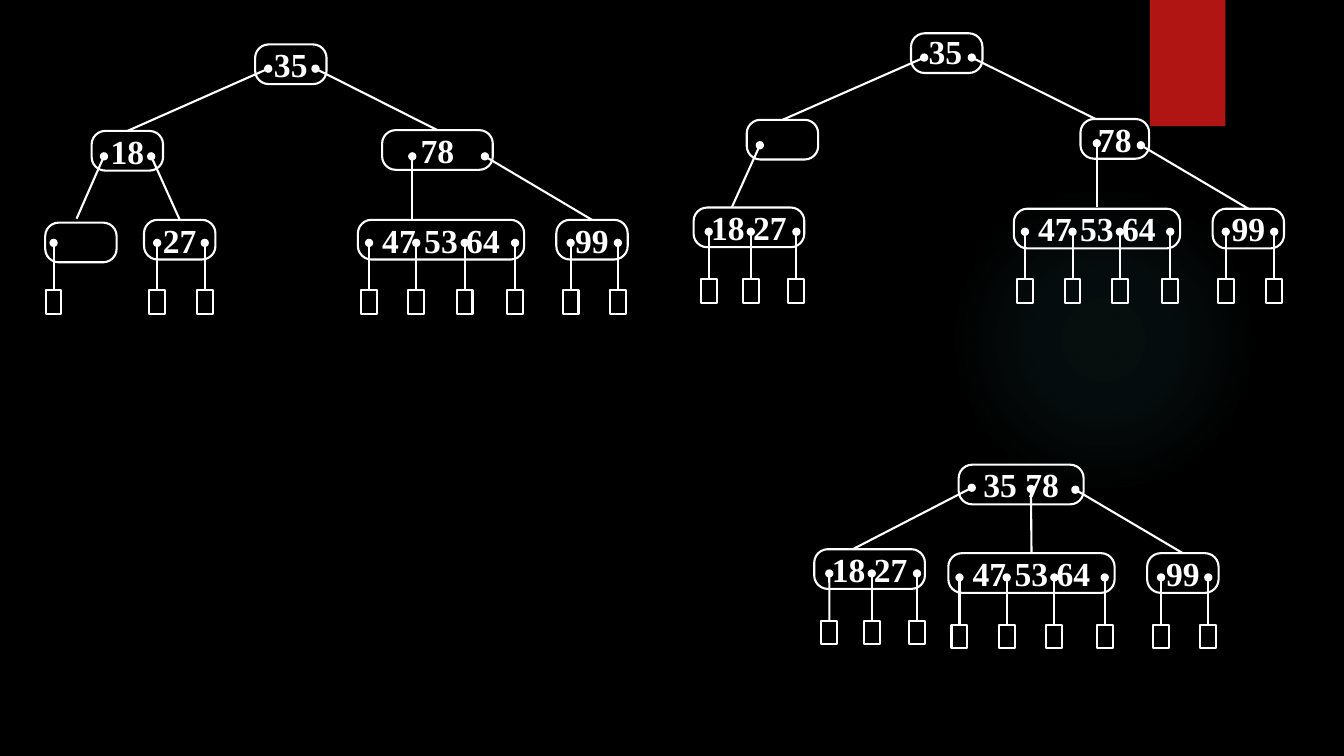
import pptx
import pptx.dml.color
import pptx.enum.shapes
import pptx.enum.text
import pptx.oxml
import pptx.oxml.ns
import pptx.util
from pptx.util import Cm

SHAPE = pptx.enum.shapes.MSO_SHAPE
WHITE = "FFFFFF"
NODE_HEIGHT = 1
LEAF_WIDTH, LEAF_HEIGHT, LEAF_DROP = 0.4, 0.6, 1.19


def paint(color_format, hex_color):
    color_format.rgb = pptx.dml.color.RGBColor.from_string(hex_color)


def add_outlined(shapes, kind, left, top, width, height):
    outlined = shapes.add_shape(kind, Cm(left), Cm(top), Cm(width), Cm(height))
    outlined.shadow.inherit = False
    outlined.fill.background()
    paint(outlined.line.color, WHITE)
    outlined.line.width = pptx.util.Pt(1.5)
    return outlined


def write_keys(holder, keys):
    frame = holder.text_frame
    frame.word_wrap = False
    frame.vertical_anchor = pptx.enum.text.MSO_ANCHOR.MIDDLE
    paragraph = frame.paragraphs[0]
    paragraph.text = keys
    paragraph.alignment = pptx.enum.text.PP_ALIGN.CENTER
    paragraph.font.name = "Times New Roman"
    paragraph.font.size = pptx.util.Pt(24)
    paragraph.font.bold = True
    paint(paragraph.font.color, WHITE)


def add_node(shapes, left, top, width=1.8, keys=""):
    node = add_outlined(shapes, SHAPE.ROUNDED_RECTANGLE, left, top, width, NODE_HEIGHT)
    node.adjustments[0] = 0.341
    if keys:
        write_keys(node, keys)
    return node


def add_pointer(shapes, slot, child, tip=None):
    x, y = slot
    tip_x, tip_y = tip or slot
    pointer = shapes.add_connector(
        pptx.enum.shapes.MSO_CONNECTOR.STRAIGHT, Cm(x), Cm(y), Cm(tip_x), Cm(tip_y))
    if tip is None:
        pointer.end_connect(child, 0)
    paint(pointer.line.color, WHITE)
    pointer.line.width = pptx.util.Pt(1.5)
    line = pointer.line._get_or_add_ln()
    line.append(pptx.oxml.parse_xml(
        f'<a:headEnd {pptx.oxml.ns.nsdecls("a")} type="oval"/>'))
    pointer._element.spPr.append(pptx.oxml.parse_xml(
        f'<a:effectLst {pptx.oxml.ns.nsdecls("a")}/>'))


def add_leaves(shapes, slot_y, slot_xs):
    for x in slot_xs:
        leaf = add_outlined(shapes, SHAPE.RECTANGLE, x - LEAF_WIDTH / 2,
                            slot_y + LEAF_DROP, LEAF_WIDTH, LEAF_HEIGHT)
        add_pointer(shapes, (x, slot_y), leaf)


def add_tree(slide, nodes, pointers, leaf_rows):
    shapes = slide.shapes.add_group_shape().shapes
    placed = [add_node(shapes, *node) for node in nodes]
    for slot, child, *tip in pointers:
        add_pointer(shapes, slot, placed[child], *tip)
    for slot_y, slot_xs in leaf_rows:
        add_leaves(shapes, slot_y, slot_xs)
    return shapes


def add_glow(slide):
    glow = slide.shapes.add_shape(SHAPE.OVAL, Cm(23.9), Cm(4.65), Cm(7.82), Cm(7.82))
    glow.shadow.inherit = False
    glow.line.fill.background()
    stops = "".join(
        f'<a:gs pos="{position * 1000}"><a:srgbClr val="50B9C1">'
        f'<a:alpha val="{alpha * 1000}"/></a:srgbClr></a:gs>'
        for position, alpha in ((0, 7), (36, 6), (69, 0)))
    gradient = pptx.oxml.parse_xml(
        f'<a:gradFill {pptx.oxml.ns.nsdecls("a")}><a:gsLst>{stops}</a:gsLst>'
        '<a:path path="circle"><a:fillToRect l="50000" t="50000" r="50000" b="50000"/>'
        '</a:path></a:gradFill>')
    glow._element.spPr.find(pptx.oxml.ns.qn("a:prstGeom")).addnext(gradient)


def add_ribbon(slide):
    ribbon = slide.shapes.add_shape(SHAPE.RECTANGLE, Cm(28.98), 0, Cm(1.9), Cm(3.18))
    ribbon.shadow.inherit = False
    ribbon.fill.solid()
    paint(ribbon.fill.fore_color, "B01513")
    ribbon.line.fill.background()


def add_merged_tree(slide):
    shapes = add_tree(
        slide,
        [(22.96, 0.84), (18.82, 3.02), (17.48, 5.23, 2.79, "18 27"),
         (27.23, 3, 1.73, "78"), (25.55, 5.26, 4.19, "47 53 64"),
         (30.56, 5.26, 1.8, "99")],
        [((23.29, 1.45), 1), ((24.49, 1.45), 3, (27.61, 3)),
         ((19.15, 3.66), 2, (18.44, 5.23)), ((27.64, 3.61), 4, (27.64, 5.21)),
         ((28.75, 3.66), 5)],
        [(5.84, (17.86, 18.92, 20.07, 25.83, 27.03, 28.22, 29.49, 30.89, 32.11))])
    root_key = shapes.add_textbox(Cm(23.14), Cm(0.66), Cm(1.37), Cm(1.27))
    write_keys(root_key, "35")


def add_underfull_tree(slide):
    add_tree(
        slide,
        [(6.43, 1.12, 1.8, "35"), (2.31, 3.3, 1.8, "18"), (1.14, 5.61),
         (3.63, 5.54, 1.8, "27"), (9.63, 3.28, 2.79, "78"),
         (9.02, 5.54, 4.19, "47 53 64"), (14.02, 5.54, 1.8, "99")],
        [((6.76, 1.73), 1), ((7.95, 1.73), 4), ((2.62, 3.94), 2, (1.93, 5.51)),
         ((3.81, 3.94), 3), ((10.39, 3.94), 5, (10.39, 5.54)), ((12.22, 3.94), 6)],
        [(6.12, (1.35, 3.96, 5.16, 9.3, 10.49, 11.71, 12.98, 14.38, 15.57))])


def add_final_tree(slide):
    add_tree(
        slide,
        [(24.16, 11.71, 3.15, "35 78"), (20.52, 13.84, 2.79, "18 27"),
         (23.9, 13.94, 4.19, "47 53 64"), (28.91, 13.94, 1.8, "99")],
        [((24.49, 12.29), 1, (21.49, 13.84)), ((25.98, 12.32), 2), ((27.1, 12.34), 3)],
        [(14.45, (20.9, 21.97, 23.11)),
         (14.55, (24.18, 25.37, 26.57, 27.84, 29.26, 30.45))])


def main():
    presentation = pptx.Presentation()
    presentation.slide_width = Cm(33.87)
    presentation.slide_height = Cm(19.05)
    slide = presentation.slides.add_slide(presentation.slide_layouts[6])
    slide.background.fill.solid()
    paint(slide.background.fill.fore_color, "000000")
    add_glow(slide)
    add_ribbon(slide)
    add_merged_tree(slide)
    add_underfull_tree(slide)
    add_final_tree(slide)
    presentation.save("out.pptx")


if __name__ == "__main__":
    main()
